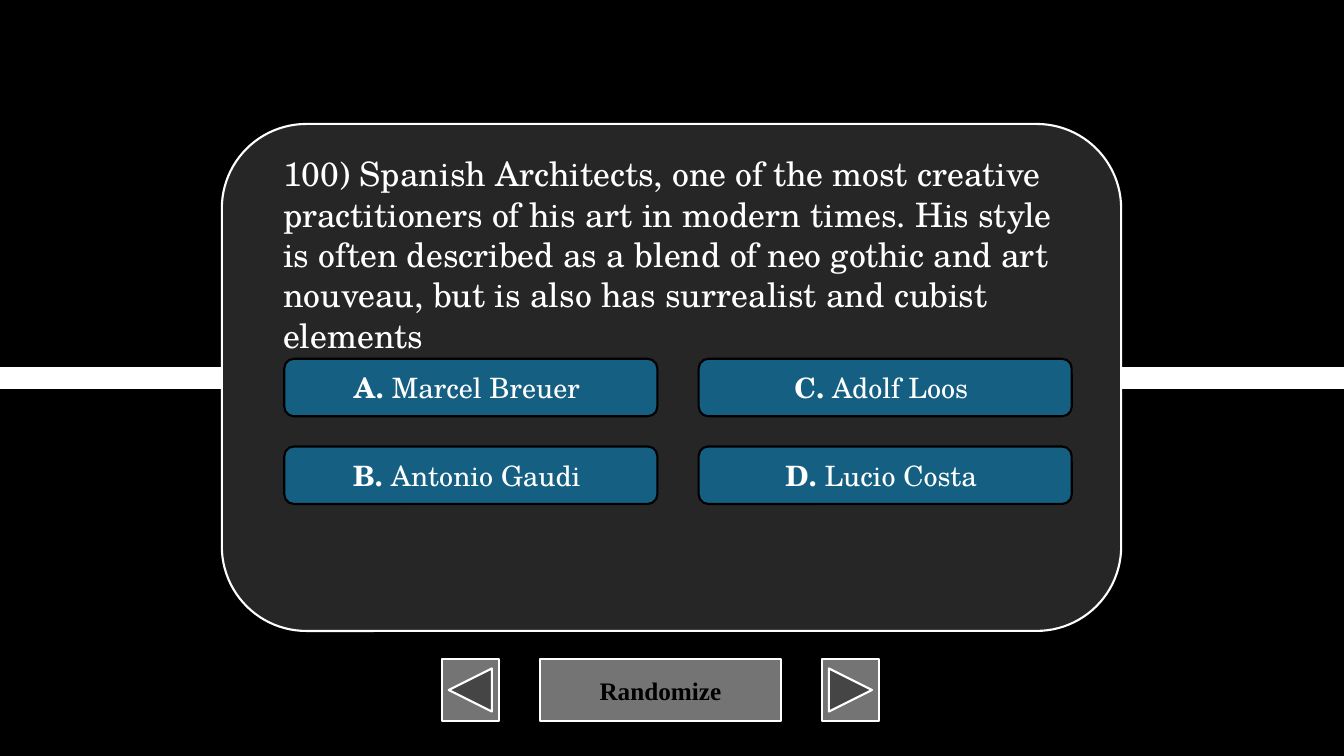
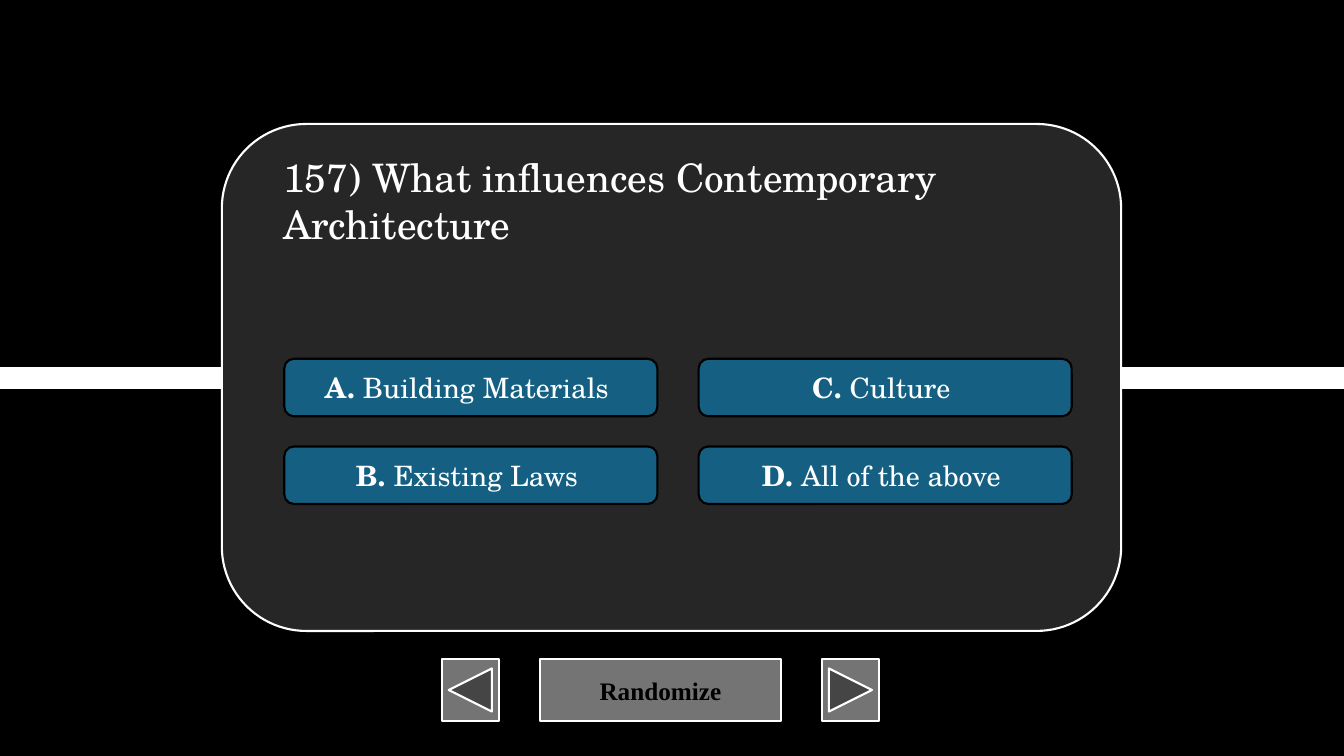
import pptx
import pptx.dml.color
import pptx.enum.shapes
import pptx.enum.text
import pptx.oxml.ns
import pptx.util
import lxml.etree

Inches = pptx.util.Inches
Pt = pptx.util.Pt
SHAPE = pptx.enum.shapes.MSO_SHAPE
ALIGN = pptx.enum.text.PP_ALIGN
ANCHOR = pptx.enum.text.MSO_ANCHOR
AUTO_SIZE = pptx.enum.text.MSO_AUTO_SIZE

PAGE_WIDTH, PAGE_HEIGHT = 13.33, 7.5
COLORS = {
    "page": "000000",
    "card": "262626",
    "answer": "156082",
    "button": "747474",
    "light": "FFFFFF",
    "dark": "000000",
}
QUESTION = {"name": "TeX Gyre Schola", "color": "light"}
ANSWER = {"name": "TeX Gyre Schola", "size": Pt(20), "color": "light"}
BUTTON = {"name": "Times New Roman", "size": Pt(18), "bold": True, "color": "dark"}

CARD_BOX = (2.2, 1.23, 8.92, 5.03)
NAVIGATION_BOX = (4.38, 6.54, 4.34, 0.61)

QUESTIONS = [
    {
        "text": "100) Spanish Architects, one of the most creative practitioners of his art "
                "in modern times. His style is often described as a blend of neo gothic and "
                "art nouveau, but is also has surrealist and cubist elements",
        "size": 24,
        "height": 2.12,
        "answers": ["Marcel Breuer", "Antonio Gaudi", "Adolf Loos", "Lucio Costa"],
    },
    {
        "text": "157) What influences Contemporary Architecture",
        "size": 28,
        "height": 1.04,
        "answers": ["Building Materials", "Existing Laws", "Culture", "All of the above"],
    },
]


def color(name):
    return pptx.dml.color.RGBColor.from_string(COLORS[name])


def add_span(para, text, values):
    span = para.add_run()
    span.text = text
    for key, value in values.items():
        if key == "color":
            span.font.color.rgb = color(value)
        else:
            setattr(span.font, key, value)


def add_panel(page, kind, box, fill, outline):
    panel = page.shapes.add_shape(kind, *map(Inches, box))
    panel.shadow.inherit = False
    panel.fill.solid()
    panel.fill.fore_color.rgb = color(fill)
    panel.line.color.rgb = color(outline)
    panel.line.width = Pt(1.5)
    return panel


def add_label(panel, spans):
    panel.text_frame.vertical_anchor = ANCHOR.MIDDLE
    para = panel.text_frame.paragraphs[0]
    para.alignment = ALIGN.CENTER
    for text, values in spans:
        add_span(para, text, values)


def add_backdrop(page):
    page.background.fill.solid()
    page.background.fill.fore_color.rgb = color("page")
    middle = Inches(PAGE_HEIGHT / 2)
    band = page.shapes.add_connector(
        pptx.enum.shapes.MSO_CONNECTOR.STRAIGHT, 0, middle, Inches(PAGE_WIDTH), middle)
    band.line.color.rgb = color("light")
    band.line.width = Pt(16)
    lxml.etree.SubElement(band._element.spPr, pptx.oxml.ns.qn("a:effectLst"))


def add_navigation(page, box):
    left, top, width, height = box
    arrow_width, middle_width = 0.57, 2.39
    middle_left = left + (width - middle_width) / 2
    middle = add_panel(page, SHAPE.ACTION_BUTTON_CUSTOM,
                       (middle_left, top, middle_width, height), "button", "light")
    add_label(middle, [("Randomize", BUTTON)])
    arrows = [
        (SHAPE.ACTION_BUTTON_BACK_OR_PREVIOUS, left),
        (SHAPE.ACTION_BUTTON_FORWARD_OR_NEXT, left + width - arrow_width),
    ]
    for kind, arrow_left in arrows:
        add_panel(page, kind, (arrow_left, top, arrow_width, height), "button", "light")


def add_answers(page, box, answers):
    left, top, width, height = box
    answer_width, answer_height = 3.7, 0.57
    column_step, row_step = width - answer_width, height - answer_height
    for index, (letter, answer) in enumerate(zip("ABCD", answers)):
        column, row = divmod(index, 2)
        place = (left + column * column_step, top + row * row_step,
                 answer_width, answer_height)
        panel = add_panel(page, SHAPE.ROUNDED_RECTANGLE, place, "answer", "dark")
        add_label(panel, [(f"{letter}. ", {**ANSWER, "bold": True}),
                          (f"{answer} ", {**ANSWER, "bold": False})])


def add_question(page, box, question):
    text_box = page.shapes.add_textbox(*map(Inches, box))
    frame = text_box.text_frame
    frame.word_wrap = True
    frame.auto_size = AUTO_SIZE.SHAPE_TO_FIT_TEXT
    add_span(frame.paragraphs[0], question["text"],
             {**QUESTION, "size": Pt(question["size"])})


def add_card(page, box, question):
    left, top, width, height = box
    add_panel(page, SHAPE.ROUNDED_RECTANGLE, box, "card", "light")
    add_answers(page, (left + 0.62, top + 2.33, 7.81, 1.44), question["answers"])
    add_question(page, (left + 0.51, top + 0.24, 7.92, question["height"]), question)


def add_quiz_page(deck, question):
    page = deck.slides.add_slide(deck.slide_layouts[6])
    add_backdrop(page)
    add_navigation(page, NAVIGATION_BOX)
    add_card(page, CARD_BOX, question)


def main():
    deck = pptx.Presentation()
    deck.slide_width = Inches(PAGE_WIDTH)
    deck.slide_height = Inches(PAGE_HEIGHT)
    for question in QUESTIONS:
        add_quiz_page(deck, question)
    deck.save("out.pptx")


if __name__ == "__main__":
    main()
